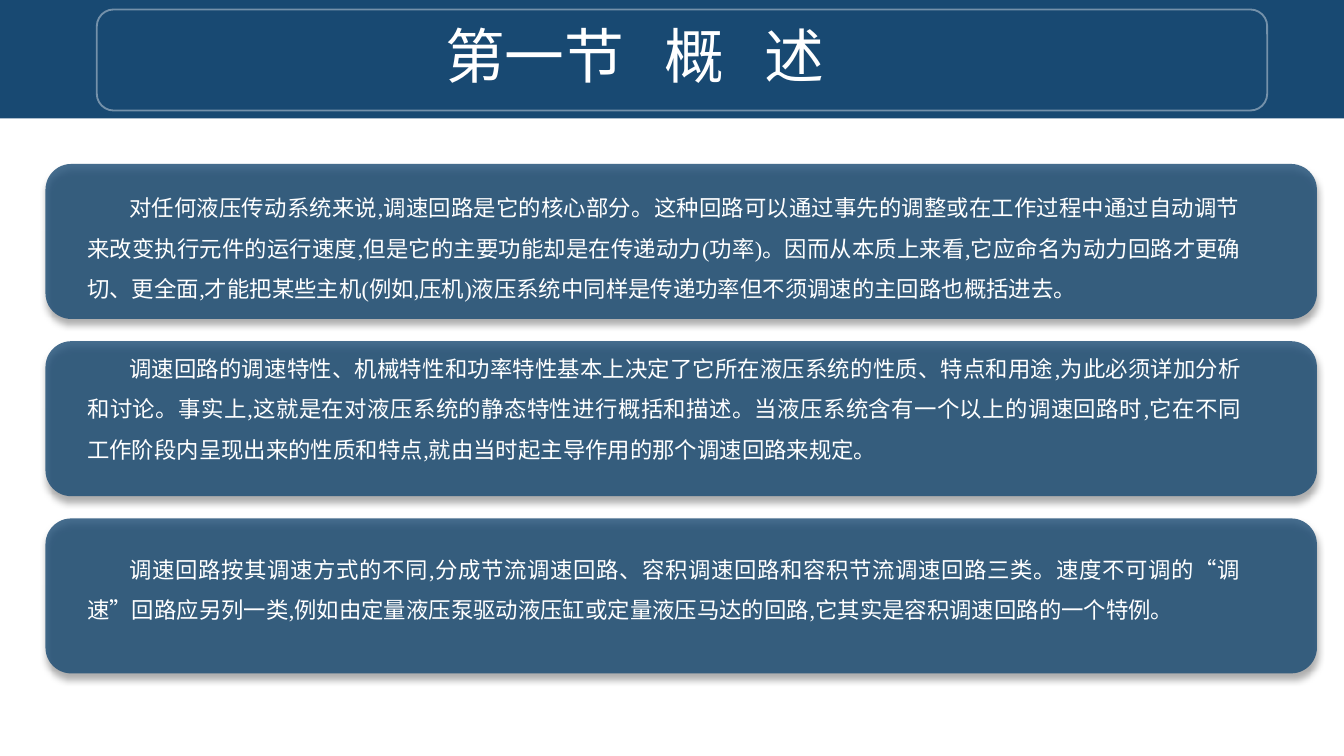
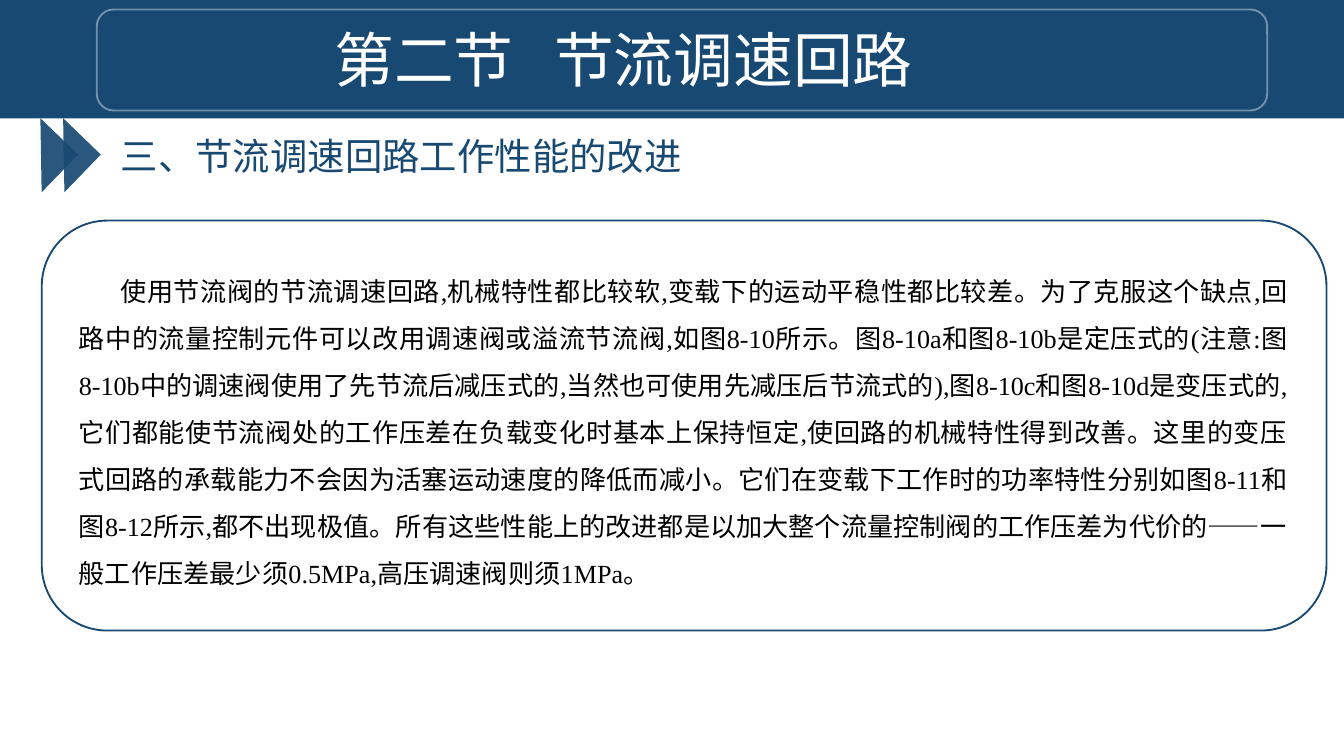
"""Builds two slides on speed-control circuits in hydraulic systems."""
from lxml import etree
from pptx import Presentation, util as u
from pptx.dml.color import RGBColor
from pptx.enum import shapes, text
from pptx.oxml import ns

COLOURS = {"navy": "184972", "white": "FFFFFF", "black": "000000"}
SANS, SERIF = "Noto Sans CJK SC", "Times New Roman"
FIRST_LINE = u.Cm(0.79)
RECT, ROUND = shapes.MSO_SHAPE.RECTANGLE, shapes.MSO_SHAPE.ROUNDED_RECTANGLE


def add_figure(page, kind, area, fill=None, line=None, alpha=100):
    """Adds a preset shape with an optional fill, outline and opacity."""
    figure = page.shapes.add_shape(kind, *map(u.Cm, area))
    figure.shadow.inherit = False
    if fill:
        figure.fill.solid()
        figure.fill.fore_color.rgb = RGBColor.from_string(COLOURS[fill])
    else:
        figure.fill.background()
    if line:
        figure.line.color.rgb = RGBColor.from_string(COLOURS[line])
        figure.line.width = u.Pt(1)
    else:
        figure.line.fill.background()
    if alpha < 100:
        for colour in figure._element.spPr.iter(ns.qn("a:srgbClr")):
            etree.SubElement(colour, ns.qn("a:alpha"), val=str(alpha * 1000))
    return figure


def add_text(page, area, paragraphs, font, size, colour, body=False):
    """Adds a text box from (space before, words) pairs; words are set apart by wide spaces."""
    box = page.shapes.add_textbox(*map(u.Cm, area))
    frame = box.text_frame
    frame.word_wrap = True
    frame.auto_size = text.MSO_AUTO_SIZE.SHAPE_TO_FIT_TEXT
    for number, (before, words) in enumerate(paragraphs):
        para = frame.paragraphs[0] if number == 0 else frame.add_paragraph()
        para.alignment = text.PP_ALIGN.JUSTIFY if body else text.PP_ALIGN.CENTER
        para.space_before = u.Pt(before)
        if body:
            para.line_spacing = 1.5
            para._p.get_or_add_pPr().set("indent", str(FIRST_LINE))
        pieces = [words[0]]
        for word in words[1:]:
            pieces += [" ", word]
        for piece in pieces:
            span = para.add_run()
            span.text = piece
            span.font.name = font
            span.font.size = u.Pt(size)
            span.font.color.rgb = RGBColor.from_string(COLOURS[colour])
            properties = span._r.get_or_add_rPr()
            etree.SubElement(properties, ns.qn("a:ea"), typeface=SANS)
            if piece == " ":
                properties.set("spc", "1440")


deck = Presentation()
deck.slide_width, deck.slide_height = u.Cm(25.4), u.Cm(14.29)
blank = deck.slide_layouts[6]
overview, throttling = [deck.slides.add_slide(blank) for _ in range(2)]

band = add_figure(overview, RECT, (0, 0, 25.4, 2.24), fill="navy")
blank.shapes._spTree.insert(2, band._element)

for row in range(3):
    card = add_figure(overview, ROUND, (0.86, 3.1 + 3.35 * row, 24.03, 2.93), fill="navy", alpha=80)
    effects = card._element.spPr.find(ns.qn("a:effectLst"))
    shadow = etree.SubElement(effects, ns.qn("a:outerShdw"), blurRad=str(u.Pt(4)), dist=str(u.Pt(3)),
                              dir="5400000", algn="t", rotWithShape="0")
    tint = etree.SubElement(shadow, ns.qn("a:srgbClr"), val=COLOURS["black"])
    etree.SubElement(tint, ns.qn("a:alpha"), val="40000")

titles = [
    (overview, 1.4, 0.23, ["第一节", "概", "述"]),
    (throttling, 1.19, 0.3, ["第二节", "节流调速回路"]),
]
for page, left, top, words in titles:
    add_figure(page, ROUND, (1.83, 0.18, 22.12, 1.91), line="white", alpha=40)
    add_text(page, (left, top, 21.2, 1.63), [(0, words)], SANS, 32, "white")

overview_text = [
    (0, ["对任何液压传动系统来说,调速回路是它的核心部分。这种回路可以通过事先的调整或在工作过程中"
         "通过自动调节来改变执行元件的运行速度,但是它的主要功能却是在传递动力(功率)。因而从本质上来看,"
         "它应命名为动力回路才更确切、更全面,才能把某些主机(例如,压机)液压系统中同样是传递功率但不须"
         "调速的主回路也概括进去。"]),
    (21.3, ["调速回路的调速特性、机械特性和功率特性基本上决定了它所在液压系统的性质、特点和用途,"
            "为此必须详加分析和讨论。事实上,这就是在对液压系统的静态特性进行概括和描述。当液压系统含有"
            "一个以上的调速回路时,它在不同工作阶段内呈现出来的性质和特点,就由当时起主导作用的那个"
            "调速回路来规定。"]),
    (42.6, ["调速回路按其调速方式的不同,分成节流调速回路、容积调速回路和容积节流调速回路三类。"
            "速度不可调的“调速”回路应另列一类,例如由定量液压泵驱动液压缸或定量液压马达的回路,"
            "它其实是容积调速回路的一个特例。"]),
]
add_text(overview, (1.4, 3.3, 22.3, 8.71), overview_text, SERIF, 12, "white", body=True)

add_text(throttling, (0.41, 2.39, 14.35, 1.12), [(0, ["三、节流调速回路工作性能的改进"])], SANS, 20, "navy")
for left in (0.28, 0.71):
    arrow = add_figure(throttling, shapes.MSO_SHAPE.RIGHT_TRIANGLE, (left, 2.44, 0.99, 0.99),
                       fill="navy", alpha=92)
    arrow.rotation = 44
    for flip in ("flipH", "flipV"):
        arrow._element.spPr.xfrm.set(flip, "1")

throttling_text = [
    (0, ["使用节流阀的节流调速回路,机械特性都比较软,变载下的运动平稳性都比较差。为了克服这个缺点,"
         "回路中的流量控制元件可以改用调速阀或溢流节流阀,如图8-10所示。图8-10a和图8-10b是定压式的"
         "(注意:图8-10b中的调速阀使用了先节流后减压式的,当然也可使用先减压后节流式的),"
         "图8-10c和图8-10d是变压式的,它们都能使节流阀处的工作压差在负载变化时基本上保持恒定,"
         "使回路的机械特性得到改善。这里的变压式回路的承载能力不会因为活塞运动速度的降低而减小。"
         "它们在变载下工作时的功率特性分别如图8-11和图8-12所示,都不出现极值。所有这些性能上的改进"
         "都是以加大整个流量控制阀的工作压差为代价的——一般工作压差最少须0.5MPa,高压调速阀则须1MPa。"]),
]
add_text(throttling, (1.24, 4.78, 23.34, 6.43), throttling_text, SERIF, 14, "black", body=True)
outline = add_figure(throttling, ROUND, (0.79, 4.17, 24.28, 7.75), line="navy")
outline.adjustments[0] = 0.16

deck.save("out.pptx")
